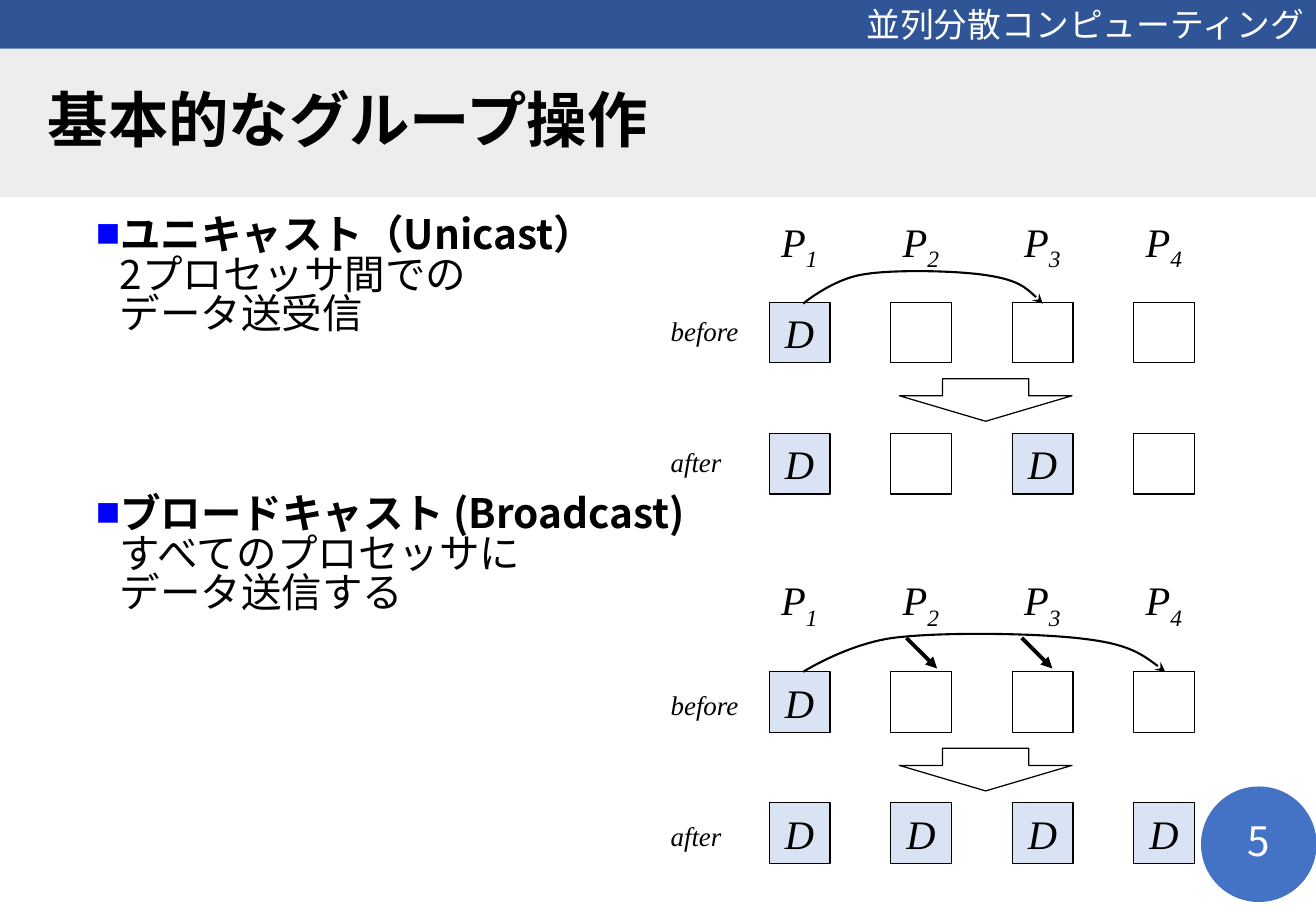
from dataclasses import dataclass

from lxml.etree import SubElement
from pptx import Presentation
from pptx.dml.color import RGBColor as Rgb
from pptx.enum.shapes import MSO_CONNECTOR as Link, MSO_SHAPE as Preset
from pptx.enum.text import MSO_ANCHOR as Anchor, MSO_AUTO_SIZE as AutoSize, PP_ALIGN as Align
from pptx.oxml.ns import qn
from pptx.util import Cm, Pt


@dataclass(frozen=True)
class Theme:
    black: str = "000000"
    white: str = "FFFFFF"
    header: str = "2F5597"
    title_band: str = "EDEDED"
    page_badge: str = "4472C4"
    data: str = "DAE3F3"
    bullet: str = "0000FF"
    japanese: str = "Noto Sans CJK JP"
    latin: str = "Lato"
    formula: str = "Times New Roman"
    title_size: float = 35.8
    body_size: float = 24
    header_size: float = 20
    row_size: float = 16


@dataclass(frozen=True)
class Operation:
    """One group operation; curve and branches are in cm from the first processor's box."""
    before: tuple
    after: tuple
    row_top: float
    label_drop: float
    curve: tuple
    branches: tuple = ()


THEME = Theme()
WIDTH, HEIGHT = 27.51, 19.05
CELL, PITCH, ROW_PITCH = 1.27, 2.54, 2.74

BODY = [
    ("ユニキャスト（Unicast）", ["2プロセッサ間での", "データ送受信"], 0),
    ("ブロードキャスト (Broadcast)", ["すべてのプロセッサに", "データ送信する"], 94.5),
]
UNICAST = Operation(
    before=(1,), after=(1, 3), row_top=1.9, label_drop=0.13,
    curve=((5.72, 0.03), (5.46, -0.23), (5.21, -0.46), (4.57, -0.56), (3.96, -0.66),
           (2.59, -0.69), (1.96, -0.58), (1.32, -0.48), (0.71, 0.03), (0.71, 0.03)))
BROADCAST = Operation(
    before=(1,), after=(1, 2, 3, 4), row_top=2.14, label_drop=0.22,
    curve=((8.28, 0), (7.9, -0.3), (7.52, -0.58), (6.58, -0.69), (5.64, -0.81),
           (3.58, -0.84), (2.59, -0.71), (1.63, -0.58), (0.71, 0), (0.71, 0)),
    branches=(2.87, 5.28))


def assign(target, values):
    for name, value in values.items():
        setattr(target, name, value)


def place(part, box):
    assign(part, dict(zip(("left", "top", "width", "height"), map(Cm, box))))


def paint(shape, fill=None, line=None, weight=0.75):
    shape.shadow.inherit = False
    if fill:
        shape.fill.solid()
        shape.fill.fore_color.rgb = Rgb.from_string(fill)
    else:
        shape.fill.background()
    if line:
        shape.line.color.rgb = Rgb.from_string(line)
        shape.line.width = Pt(weight)
    else:
        shape.line.fill.background()


def write(paragraph, text, size, face, color=THEME.black, **style):
    run = paragraph.add_run()
    run.text = text
    assign(run.font, {"size": Pt(size), "name": face, **style})
    run.font.color.rgb = Rgb.from_string(color)
    SubElement(run._r.get_or_add_rPr(), qn("a:ea"), typeface=THEME.japanese)
    return run


def write_formula(paragraph, text, size=THEME.body_size):
    return write(paragraph, text, size, THEME.formula, italic=True)


def add_shape(slide, preset, box, fill, line=None):
    shape = slide.shapes.add_shape(preset, *map(Cm, box))
    paint(shape, fill, line)
    return shape


def frame_paragraph(shape, align=Align.LEFT, **frame_format):
    """Format the text frame and return its first paragraph."""
    assign(shape.text_frame, frame_format)
    paragraph = shape.text_frame.paragraphs[0]
    paragraph.alignment = align
    return paragraph


def add_arrowhead(line, end, kind):
    SubElement(line.line._get_or_add_ln(), qn(f"a:{end}"), type=kind)


def header_bar(slide, box):
    bar = add_shape(slide, Preset.RECTANGLE, box, THEME.header)
    course = frame_paragraph(bar, Align.RIGHT, word_wrap=False, vertical_anchor=Anchor.MIDDLE)
    write(course, "並列分散コンピューティング", THEME.header_size, THEME.latin, THEME.white)


def title_band(slide, box):
    title = slide.shapes.title
    place(title, box)
    paint(title, THEME.title_band)
    heading = frame_paragraph(title, word_wrap=False, auto_size=AutoSize.NONE,
                              vertical_anchor=Anchor.MIDDLE, margin_left=Cm(1))
    heading.line_spacing = 0.9
    write(heading, "基本的なグループ操作", THEME.title_size, THEME.japanese, bold=True)


def explanations(slide, box):
    body = slide.placeholders[1]
    place(body, box)
    assign(body.text_frame, {"auto_size": AutoSize.NONE, "word_wrap": True})
    for index, (term, meaning, gap) in enumerate(BODY):
        item = body.text_frame.add_paragraph() if index else body.text_frame.paragraphs[0]
        assign(item, {"line_spacing": 0.825, "space_before": Pt(gap)})
        bullet = item._p.get_or_add_pPr()
        bullet.set("marL", str(Cm(0.5)))
        bullet.set("indent", str(Cm(-0.5)))
        SubElement(SubElement(bullet, qn("a:buClr")), qn("a:srgbClr"), val=THEME.bullet)
        SubElement(bullet, qn("a:buChar"), char="■")
        write(item, term, THEME.body_size, THEME.japanese, bold=True)
        for line in meaning:
            item.add_line_break()
            write(item, line, THEME.body_size, THEME.japanese, bold=False)


def transfer_curve(slide, left, top, points):
    """Draw the points as joined Bézier segments, with the arrowhead at the first."""
    start, *rest = [(Cm(left + x), Cm(top + y)) for x, y in points]
    builder = slide.shapes.build_freeform(*start)
    builder.add_line_segments(rest, close=False)
    curve = builder.convert_to_shape()
    paint(curve, line=THEME.black, weight=1.25)
    add_arrowhead(curve, "headEnd", "stealth")
    steps = list(curve._element.iter(qn("a:lnTo")))
    outline = steps[0].getparent()
    for first in range(0, len(steps), 3):
        segment = SubElement(outline, qn("a:cubicBezTo"))
        for step in steps[first:first + 3]:
            segment.append(step[0])
            outline.remove(step)


def branch_arrow(slide, left, top):
    branch = slide.shapes.add_connector(
        Link.STRAIGHT, *map(Cm, (left, top, left + 0.64, top + 0.64)))
    branch.line.color.rgb = Rgb.from_string(THEME.black)
    branch.line.width = Pt(2.25)
    add_arrowhead(branch, "tailEnd", "triangle")
    SubElement(branch._element.spPr, qn("a:effectLst"))


def processor_row(slide, left, top, name, holders, label_drop):
    label = slide.shapes.add_textbox(*map(Cm, (left, top + label_drop, 1.96, 0.94)))
    write_formula(frame_paragraph(label, word_wrap=False), name, THEME.row_size)
    for number in range(1, 5):
        box = (left + 2.31 + (number - 1) * PITCH, top, CELL, CELL)
        holds = number in holders
        cell = add_shape(slide, Preset.RECTANGLE, box,
                         THEME.data if holds else THEME.white, THEME.black)
        if holds:
            write_formula(frame_paragraph(cell, Align.CENTER, word_wrap=False,
                                          vertical_anchor=Anchor.MIDDLE), "D")


def operation_diagram(slide, left, top, operation):
    first_cell, row_top = left + 2.31, top + operation.row_top
    for number in range(1, 5):
        label = slide.shapes.add_textbox(
            *map(Cm, (first_cell + (number - 1) * PITCH, top, 1.47, CELL)))
        processor = frame_paragraph(label, word_wrap=True)
        write_formula(processor, "P")
        write_formula(processor, str(number))._r.get_or_add_rPr().set("baseline", "-25000")
    processor_row(slide, left, row_top, "before", operation.before, operation.label_drop)
    processor_row(slide, left, row_top + ROW_PITCH, "after", operation.after,
                  operation.label_drop)
    step = add_shape(slide, Preset.DOWN_ARROW, (first_cell + 2.72, row_top + 1.6, 3.61, 0.89),
                     THEME.white, THEME.black)
    step.adjustments[0], step.adjustments[1] = 0.5, 0.6
    transfer_curve(slide, first_cell, row_top, operation.curve)
    for offset in operation.branches:
        branch_arrow(slide, first_cell + offset, row_top - 0.71)


def page_badge(slide, box):
    badge = add_shape(slide, Preset.OVAL, box, THEME.page_badge, THEME.page_badge)
    page = frame_paragraph(badge, Align.CENTER, word_wrap=False, vertical_anchor=Anchor.MIDDLE,
                           margin_bottom=Cm(0.28))
    write(page, "5", THEME.body_size, THEME.japanese, THEME.white)


def main():
    deck = Presentation()
    assign(deck, {"slide_width": Cm(WIDTH), "slide_height": Cm(HEIGHT)})
    slide = deck.slides.add_slide(deck.slide_layouts[1])
    header_bar(slide, (0, 0, WIDTH, 1.02))
    title_band(slide, (0, 1.02, WIDTH, 3.1))
    explanations(slide, (1.75, 4.42, 25.76, 13.92))
    operation_diagram(slide, 13.77, 4.42, UNICAST)
    operation_diagram(slide, 13.77, 11.91, BROADCAST)
    page_badge(slide, (25.12, 16.46, 2.39, 2.39))
    deck.save("out.pptx")


if __name__ == "__main__":
    main()
